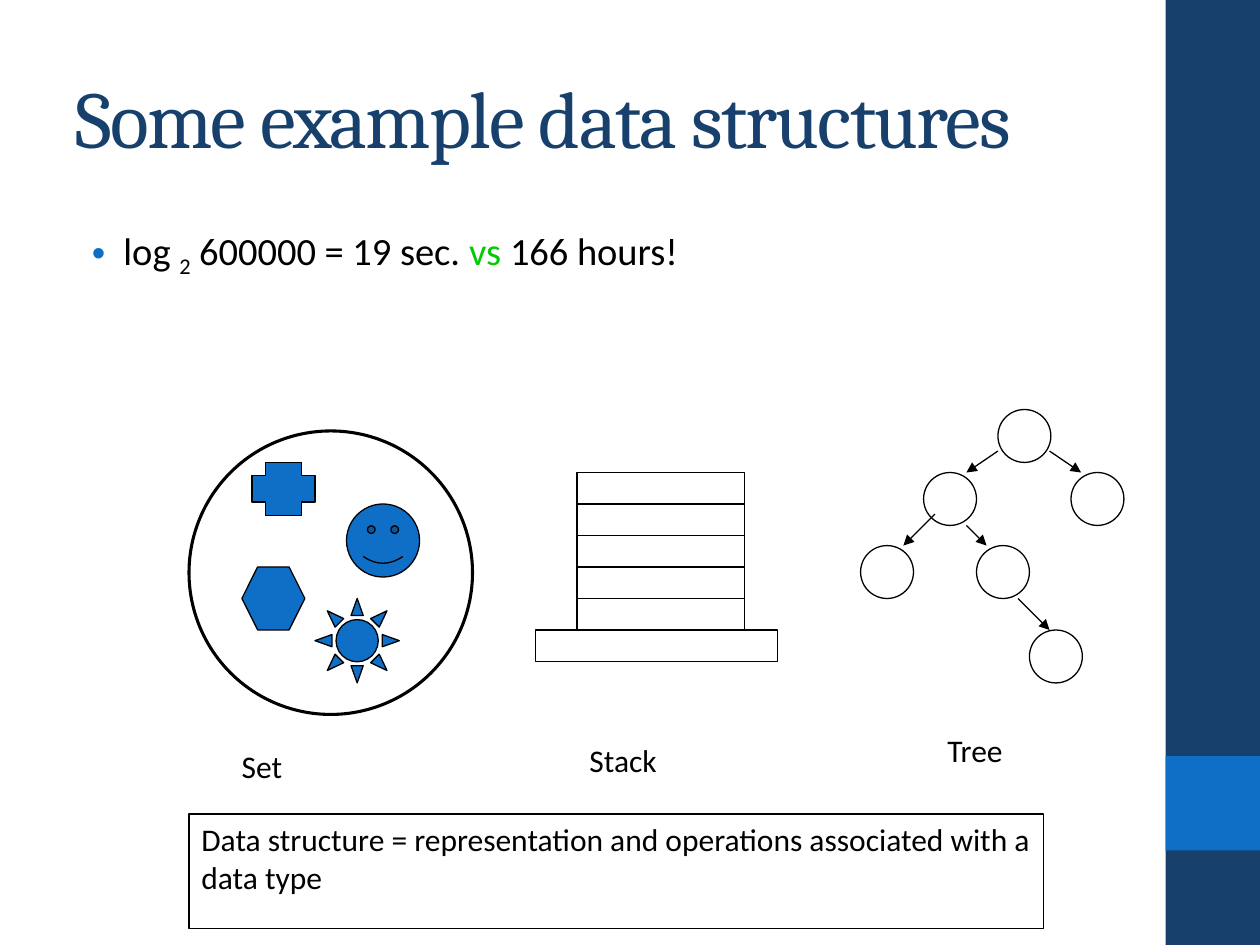
from lxml import etree
from pptx import Presentation
from pptx.dml.color import RGBColor
from pptx.enum.shapes import MSO_CONNECTOR as Connector, MSO_SHAPE as Shape
from pptx.enum.text import MSO_ANCHOR as Anchor, MSO_AUTO_SIZE as AutoSize, PP_ALIGN as Align
from pptx.oxml.ns import qn
from pptx.util import Inches, Pt

COLORS = {
    "navy": "17406D",
    "blue": "0F6FC6",
    "black": "000000",
    "green": "00CC00",
}


class SlideBuilder:
    """Holds the style and the current slide."""

    heading_font = "Cambria"
    body_font = "Calibri"

    def __init__(self, page):
        self.page = page

    def color(self, name):
        return RGBColor.from_string(COLORS[name])

    def style(self, span, size, color="black", font=None):
        span.font.name = font or self.body_font
        span.font.size = Pt(size)
        span.font.color.rgb = self.color(color)

    def place(self, box, left, top, width, height):
        box.left, box.top = Inches(left), Inches(top)
        box.width, box.height = Inches(width), Inches(height)

    def title(self, text, *area):
        box = self.page.shapes.title
        self.place(box, *area)
        frame = box.text_frame
        frame.text = text
        frame.auto_size = AutoSize.NONE
        frame.vertical_anchor = Anchor.MIDDLE
        para = frame.paragraphs[0]
        para.alignment = Align.LEFT
        span = para.runs[0]
        self.style(span, 46, "navy", self.heading_font)
        span.font._element.set("spc", "-100")

    def bullet(self, spans, *area):
        """Each span is (text, color, baseline in thousandths of a percent)."""
        box = self.page.placeholders[1]
        self.place(box, *area)
        box.text_frame.auto_size = AutoSize.NONE
        para = box.text_frame.paragraphs[0]
        para.space_before = Pt(4.4)
        for text, color, baseline in spans:
            span = para.add_run()
            span.text = text
            self.style(span, 22, color)
            if baseline:
                span.font._element.set("baseline", str(baseline))
        # Indent and bullet mark
        props = para._p.get_or_add_pPr()
        props.set("marL", str(Inches(0.38)))
        props.set("indent", str(Inches(-0.25)))
        mark_color = etree.SubElement(props, qn("a:buClr"))
        etree.SubElement(mark_color, qn("a:srgbClr"), val=COLORS["blue"])
        etree.SubElement(props, qn("a:buFont"), typeface="Arial")
        etree.SubElement(props, qn("a:buChar"), char="•")

    def shape(self, kind, left, top, width, height, fill=None, line="black", weight=0.75):
        box = self.page.shapes.add_shape(
            kind, Inches(left), Inches(top), Inches(width), Inches(height))
        box.shadow.inherit = False
        if fill:
            box.fill.solid()
            box.fill.fore_color.rgb = self.color(fill)
        else:
            box.fill.background()
        if line:
            box.line.color.rgb = self.color(line)
            box.line.width = Pt(weight)
        else:
            box.line.fill.background()
        return box

    def arrow(self, start, end):
        line = self.page.shapes.add_connector(
            Connector.STRAIGHT, *(Inches(value) for value in (*start, *end)))
        line.line.color.rgb = self.color("black")
        line.line.width = Pt(0.75)
        etree.SubElement(line.line._get_or_add_ln(), qn("a:tailEnd"), type="triangle")
        etree.SubElement(line._element.spPr, qn("a:effectLst"))

    def label(self, text, left, top, width):
        box = self.page.shapes.add_textbox(
            Inches(left), Inches(top), Inches(width), Inches(0.5))
        box.text_frame.text = text
        box.text_frame.word_wrap = False
        self.style(box.text_frame.paragraphs[0].runs[0], 18)

    def note(self, text, *area):
        frame = self.shape(Shape.RECTANGLE, *area).text_frame
        frame.text = text
        frame.word_wrap = True
        frame.vertical_anchor = Anchor.TOP
        para = frame.paragraphs[0]
        para.alignment = Align.LEFT
        self.style(para.runs[0], 18)


def main():
    deck = Presentation()
    deck.slide_width, deck.slide_height = Inches(10), Inches(7.5)
    builder = SlideBuilder(deck.slides.add_slide(deck.slide_layouts[1]))

    # Side band
    builder.shape(Shape.RECTANGLE, 9.25, 0, 0.75, 7.5, "navy", line=None)
    builder.shape(Shape.RECTANGLE, 9.25, 6, 0.75, 0.75, "blue", line=None)

    # Title and bullet
    builder.title("Some example data structures", 0.5, 0.3, 8.33, 1.25)
    builder.bullet([
        ("log ", "black", 0),
        ("2", "black", -25000),
        (" 600000 = 19 sec. ", "black", 0),
        ("vs ", "green", 0),
        ("166 hours!", "black", 0),
    ], 0.5, 1.75, 8.33, 5.25)

    # Set: a circle with four different members
    builder.shape(Shape.OVAL, 1.5, 3.42, 2.25, 2.25, weight=1.75)
    for kind, *area in [
        (Shape.CROSS, 2, 3.67, 0.5, 0.42),
        (Shape.HEXAGON, 1.92, 4.5, 0.5, 0.5),
        (Shape.SMILEY_FACE, 2.75, 4, 0.58, 0.58),
        (Shape.SUN, 2.5, 4.75, 0.67, 0.67),
    ]:
        builder.shape(kind, *area, fill="blue")

    # Stack: a base with five items piled upwards
    builder.shape(Shape.RECTANGLE, 4.25, 5, 1.92, 0.25)
    for level in range(1, 6):
        builder.shape(Shape.RECTANGLE, 4.58, 5 - 0.25 * level, 1.33, 0.25)

    # Tree: nodes and arrows
    for left, top in [(7.92, 3.25), (7.33, 3.75), (8.5, 3.75),
                      (6.83, 4.33), (7.75, 4.33), (8.17, 5)]:
        builder.shape(Shape.OVAL, left, top, 0.42, 0.42)
    for start, end in [
        ((7.92, 3.58), (7.67, 3.75)),
        ((7.42, 4.08), (7.17, 4.33)),
        ((7.67, 4.17), (7.83, 4.33)),
        ((8.33, 3.58), (8.58, 3.75)),
        ((8.08, 4.75), (8.33, 5)),
    ]:
        builder.arrow(start, end)

    # Captions and definition
    builder.label("Set", 1.82, 5.88, 0.63)
    builder.label("Stack", 4.58, 5.83, 0.94)
    builder.label("Tree", 7.42, 5.75, 0.81)
    builder.note("Data structure = representation and operations associated with a data type",
                 1.5, 6.46, 6.78, 0.91)

    deck.save("out.pptx")


if __name__ == "__main__":
    main()
